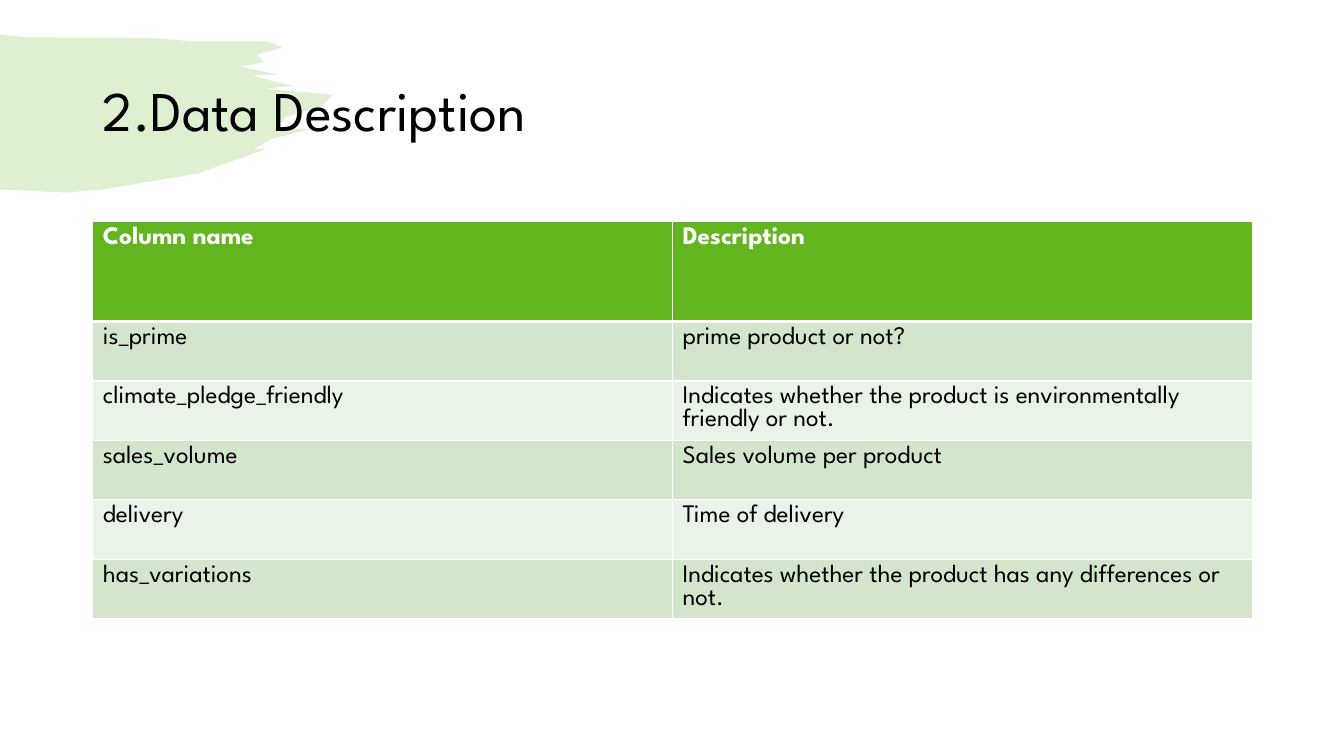
from lxml.etree import SubElement
from pptx import Presentation
from pptx.dml.color import RGBColor
from pptx.enum.text import MSO_ANCHOR, MSO_AUTO_SIZE, PP_ALIGN
from pptx.oxml.ns import qn
from pptx.util import Inches, Pt

FONT = "League Spartan"
GREEN, WHITE, BLACK = "63B520", "FFFFFF", "000000"
BANDS = ("D3E5CD", "EAF3E8")
TITLE = "2.Data Description"
COLUMNS = [
    ("Column name", "Description"),
    ("is_prime", "prime product or not?"),
    ("climate_pledge_friendly",
     "Indicates whether the product is environmentally friendly or not."),
    ("sales_volume", "Sales volume per product"),
    ("delivery", "Time of delivery"),
    ("has_variations",
     "Indicates whether the product has any differences or not."),
]
LEFT, WIDTH = 0.92, 11.5
TABLE_TOP, HEADER_HEIGHT, ROW_HEIGHT = 2.2, 0.99, 0.59

BRUSH = [
    (0, 0.34), (0.25, 0.37), (1.51, 0.38), (1.94, 0.41), (2.65, 0.41),
    (2.8, 0.47), (2.55, 0.54), (2.62, 0.62), (2.38, 0.66), (2.75, 0.74),
    (2.51, 0.75), (2.73, 0.81), (2.9, 0.85), (2.63, 0.88), (3.3, 0.94),
    (3.18, 1.06), (2.83, 1.16), (2.74, 1.28), (3.08, 1.28), (2.69, 1.38),
    (2.52, 1.48), (2.63, 1.48), (1.97, 1.72), (1.02, 1.88), (0.65, 1.91),
    (0, 1.88),
]


def color(hex_value):
    return RGBColor.from_string(hex_value)


def paint(target, hex_value):
    target.fill.solid()
    target.fill.fore_color.rgb = color(hex_value)


def write(paragraph, text, size, hex_value, bold=False):
    run = paragraph.add_run()
    run.text = text
    run.font.name = FONT
    run.font.size = Pt(size)
    run.font.bold = bold
    run.font.color.rgb = color(hex_value)


def add_brush(slide):
    start, *points = [tuple(map(Inches, point)) for point in BRUSH]
    outline = slide.shapes.build_freeform(*start)
    outline.add_line_segments(points)
    brush = outline.convert_to_shape()
    brush.shadow.inherit = False
    brush.line.fill.background()
    paint(brush, GREEN)
    tint = brush.element.spPr.find(f"{qn('a:solidFill')}/{qn('a:srgbClr')}")
    SubElement(tint, qn("a:alpha"), val="20000")
    slide.shapes.element.insert(2, brush.element)


def add_title(slide):
    title = slide.shapes.title
    title.left, title.top = Inches(LEFT), Inches(0.4)
    title.width, title.height = Inches(WIDTH), Inches(1.45)
    frame = title.text_frame
    frame.auto_size = MSO_AUTO_SIZE.NONE
    frame.word_wrap = True
    frame.vertical_anchor = MSO_ANCHOR.MIDDLE
    heading = frame.paragraphs[0]
    heading.alignment = PP_ALIGN.LEFT
    heading.line_spacing = 0.9
    write(heading, TITLE, 40, BLACK)


def add_border(cell, side, width):
    border = SubElement(cell._tc.get_or_add_tcPr(), qn(f"a:ln{side}"), w=str(Pt(width)))
    fill = SubElement(border, qn("a:solidFill"))
    SubElement(fill, qn("a:srgbClr"), val=WHITE)


def add_columns_table(slide):
    heights = [HEADER_HEIGHT] + [ROW_HEIGHT] * (len(COLUMNS) - 1)
    table = slide.shapes.add_table(
        len(COLUMNS), 2, Inches(LEFT), Inches(TABLE_TOP),
        Inches(WIDTH), Inches(sum(heights))).table
    for column in table.columns:
        column.width = Inches(WIDTH / 2)
    for row, (height, texts) in enumerate(zip(heights, COLUMNS)):
        table.rows[row].height = Inches(height)
        header = row == 0
        for col, text in enumerate(texts):
            cell = table.cell(row, col)
            for side in "LRTB":
                thick = (header and side == "B") or (row == 1 and side == "T")
                add_border(cell, side, 3 if thick else 1)
            paint(cell, GREEN if header else BANDS[(row - 1) % 2])
            write(cell.text_frame.paragraphs[0], text, 18,
                  WHITE if header else BLACK, header)


def main():
    deck = Presentation()
    deck.slide_width, deck.slide_height = Inches(13.33), Inches(7.5)
    slide = deck.slides.add_slide(deck.slide_layouts[5])
    add_brush(slide)
    add_title(slide)
    add_columns_table(slide)
    deck.save("out.pptx")


if __name__ == "__main__":
    main()
